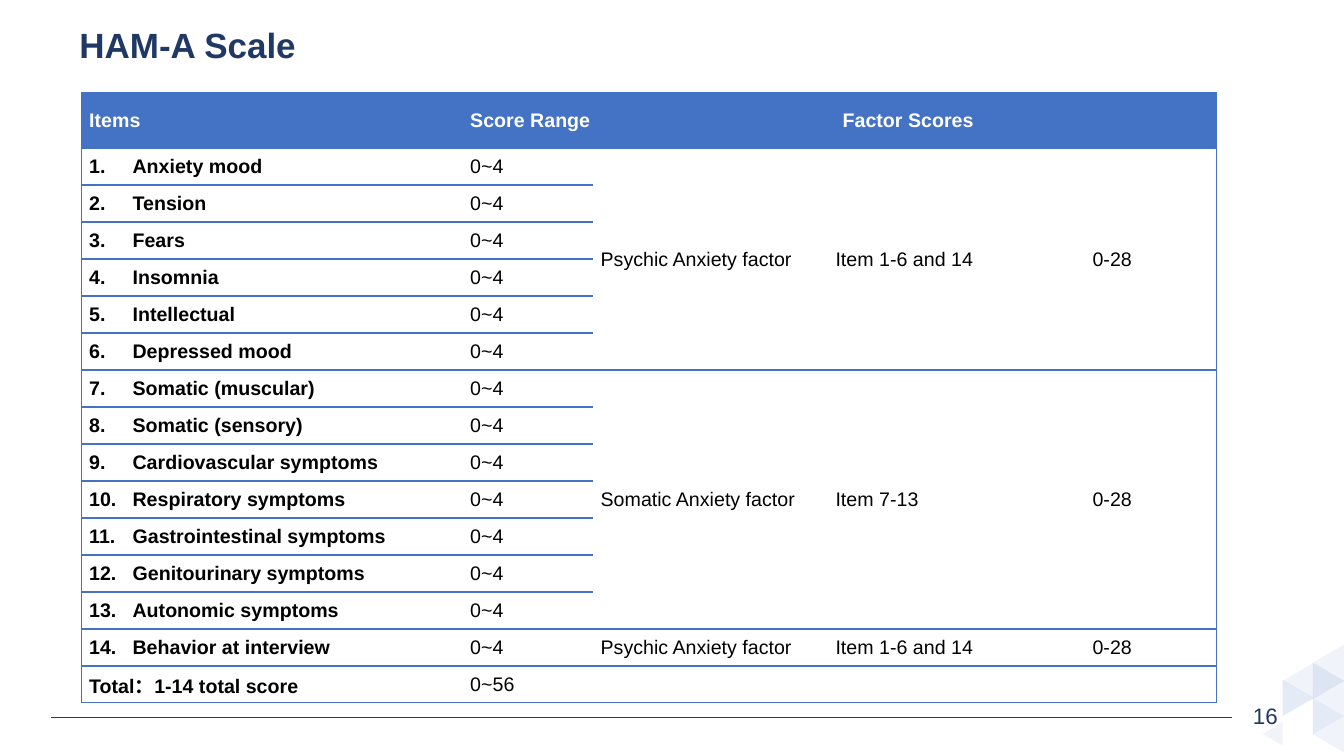
from dataclasses import dataclass

from lxml import etree
from pptx import Presentation
from pptx.dml.color import RGBColor
from pptx.enum.shapes import MSO_CONNECTOR, MSO_SHAPE
from pptx.enum.text import MSO_ANCHOR, PP_ALIGN
from pptx.oxml.ns import qn
from pptx.util import Pt

LEFT, CENTER, JUSTIFY = PP_ALIGN.LEFT, PP_ALIGN.CENTER, PP_ALIGN.JUSTIFY
MIDDLE, TOP = MSO_ANCHOR.MIDDLE, MSO_ANCHOR.TOP
STRAIGHT = MSO_CONNECTOR.STRAIGHT
TRIANGLE = MSO_SHAPE.ISOSCELES_TRIANGLE


@dataclass(frozen=True)
class Theme:
    font: str = "Arial"
    navy: str = "203864"
    blue: str = "4472C4"
    pale: str = "DAE3F3"
    white: str = "FFFFFF"
    black: str = "000000"
    title: int = 25
    number: int = 16
    body: int = 14


THEME = Theme()

SYMPTOMS = [
    "Anxiety mood", "Tension", "Fears", "Insomnia", "Intellectual",
    "Depressed mood", "Somatic (muscular)", "Somatic (sensory)",
    "Cardiovascular symptoms", "Respiratory symptoms",
    "Gastrointestinal symptoms", "Genitourinary symptoms",
    "Autonomic symptoms", "Behavior at interview",
]
# first row, last row, texts of the three factor columns
FACTORS = [
    (1, 6, ("Psychic Anxiety factor", "Item 1-6 and 14", "0-28")),
    (7, 13, ("Somatic Anxiety factor", "Item 7-13", "0-28")),
    (14, 14, ("Psychic Anxiety factor", "Item 1-6 and 14", "0-28")),
]
TOTAL_ROW = len(SYMPTOMS) + 1
COL_WIDTHS = [272.2, 93.2, 167.8, 183.6, 94]
HEADER_HEIGHT, ROW_HEIGHT = 39.6, 26.43
NUMBER_TAB = 31

# left, top, rotation, opacity in percent
TRIANGLES = [
    (914.4, 487.4, 90, 70), (914.4, 475.2, 270, 40),
    (936, 475.2, 90, 70), (936, 475.2, 90, 70),
    (936, 487.4, 270, 40), (936, 462.2, 270, 40),
    (936, 513.4, 270, 40), (936, 500.4, 90, 70),
]


def rgb(color):
    return RGBColor.from_string(color)


def write(p, text, size, color, bold=False, align=LEFT):
    p.alignment = align
    r = p.add_run()
    r.text = text
    fmt = {"name": THEME.font, "size": Pt(size), "bold": bold}
    for name, value in fmt.items():
        setattr(r.font, name, value)
    r.font.color.rgb = rgb(color)


def add_text(slide, box, text, size, anchor=TOP, **style):
    tf = slide.shapes.add_textbox(*map(Pt, box)).text_frame
    tf.word_wrap = True
    tf.vertical_anchor = anchor
    write(tf.paragraphs[0], text, size, THEME.navy, **style)
    return tf


def add_rule(slide, x1, x2, y):
    line = slide.shapes.add_connector(STRAIGHT, Pt(x1), Pt(y), Pt(x2), Pt(y))
    line.line.color.rgb = rgb(THEME.navy)
    line.line.width = Pt(1)
    etree.SubElement(line._element.spPr, qn("a:effectLst"))


def add_triangle(slide, left, top, rotation, opacity, width=25.9, height=22.3):
    sp = slide.shapes.add_shape(TRIANGLE, *map(Pt, (left, top, width, height)))
    sp.shadow.inherit = False
    sp.rotation = rotation
    sp.line.fill.background()
    sp.fill.solid()
    sp.fill.fore_color.rgb = rgb(THEME.pale)
    color = sp._element.spPr.find(".//" + qn("a:srgbClr"))
    etree.SubElement(color, qn("a:alpha"), val=str(opacity * 1000))


def set_borders(cell, sides):
    """Draw the named sides (any of L, R, T, B) in blue and clear the rest."""
    tc_pr = cell._tc.get_or_add_tcPr()
    for i, side in enumerate("LRTB"):
        ln = etree.Element(qn("a:ln" + side), w=str(Pt(1)))
        if side in sides:
            fill = etree.SubElement(ln, qn("a:solidFill"))
            etree.SubElement(fill, qn("a:srgbClr"), val=THEME.blue)
        else:
            etree.SubElement(ln, qn("a:noFill"))
        tc_pr.insert(i, ln)


def format_cell(cell, fill, sides):
    fmt = {
        "margin_left": Pt(5.4), "margin_right": Pt(0.7),
        "margin_top": Pt(0.7), "margin_bottom": 0,
        "vertical_anchor": MIDDLE,
    }
    for name, value in fmt.items():
        setattr(cell, name, value)
    cell.fill.solid()
    cell.fill.fore_color.rgb = rgb(fill)
    set_borders(cell, sides)


def write_cell(cell, text, color=THEME.black, bold=False, align=LEFT):
    p = cell.text_frame.paragraphs[0]
    if "\t" in text:
        tabs = etree.SubElement(p._p.get_or_add_pPr(), qn("a:tabLst"))
        etree.SubElement(tabs, qn("a:tab"), pos=str(Pt(NUMBER_TAB)), algn="l")
    write(p, text, THEME.body, color, bold, align)


def add_scale_table(slide):
    rows, cols = TOTAL_ROW + 1, len(COL_WIDTHS)
    height = HEADER_HEIGHT + TOTAL_ROW * ROW_HEIGHT
    box = map(Pt, (58.3, 66.2, sum(COL_WIDTHS), height))
    table = slide.shapes.add_table(rows, cols, *box).table
    table.horz_banding = False
    for col, width in zip(table.columns, COL_WIDTHS):
        col.width = Pt(width)
    for i, row in enumerate(table.rows):
        row.height = Pt(ROW_HEIGHT if i else HEADER_HEIGHT)

    table.cell(0, 2).merge(table.cell(0, cols - 1))
    for first, last, _ in FACTORS:
        if last > first:
            for c in range(2, cols):
                table.cell(first, c).merge(table.cell(last, c))

    for r in range(rows):
        for c in range(cols):
            cell = table.cell(r, c)
            sides = "" if cell.is_spanned and r else "TB"
            sides += {0: "L", cols - 1: "R"}.get(c, "")
            format_cell(cell, THEME.white if r else THEME.blue, sides)

    headers = [("Items", JUSTIFY), ("Score Range", JUSTIFY),
               ("Factor Scores", CENTER)]
    for c, (text, align) in enumerate(headers):
        write_cell(table.cell(0, c), text, THEME.white, True, align)
    items = [(f"{i}.\t{name}", "0~4") for i, name in enumerate(SYMPTOMS, 1)]
    items.append(("Total：1-14 total score", "0~56"))
    for r, (item, score) in enumerate(items, 1):
        write_cell(table.cell(r, 0), item, bold=True, align=JUSTIFY)
        write_cell(table.cell(r, 1), score, align=JUSTIFY)
    for first, _, texts in FACTORS:
        for c, text in enumerate(texts, 2):
            write_cell(table.cell(first, c), text)


def main():
    prs = Presentation()
    prs.slide_width, prs.slide_height = Pt(960), Pt(540)
    slide = prs.slides.add_slide(prs.slide_layouts[6])

    add_rule(slide, 36.7, 879.8, 512.6)
    add_text(slide, (883.4, 498.2, 41, 28.8), "16", THEME.number, align=CENTER)
    for triangle in TRIANGLES:
        add_triangle(slide, *triangle)
    add_triangle(slide, 900.7, 517, 270, 40, width=16.6, height=14.4)
    title = add_text(slide, (49.7, 12.2, 828, 43.2), "HAM-A Scale",
                     THEME.title, MIDDLE, bold=True)
    title.paragraphs[0].line_spacing = 0.9
    add_scale_table(slide)
    prs.save("out.pptx")


if __name__ == "__main__":
    main()
